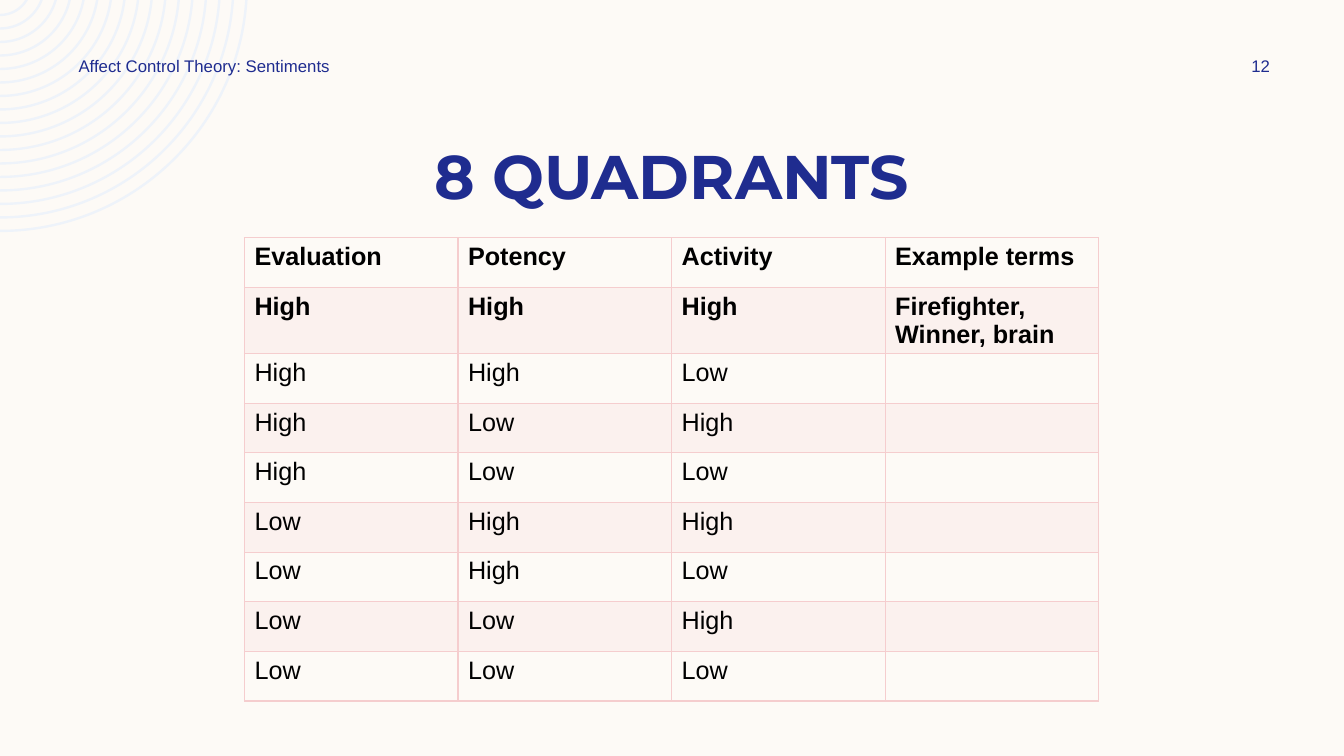
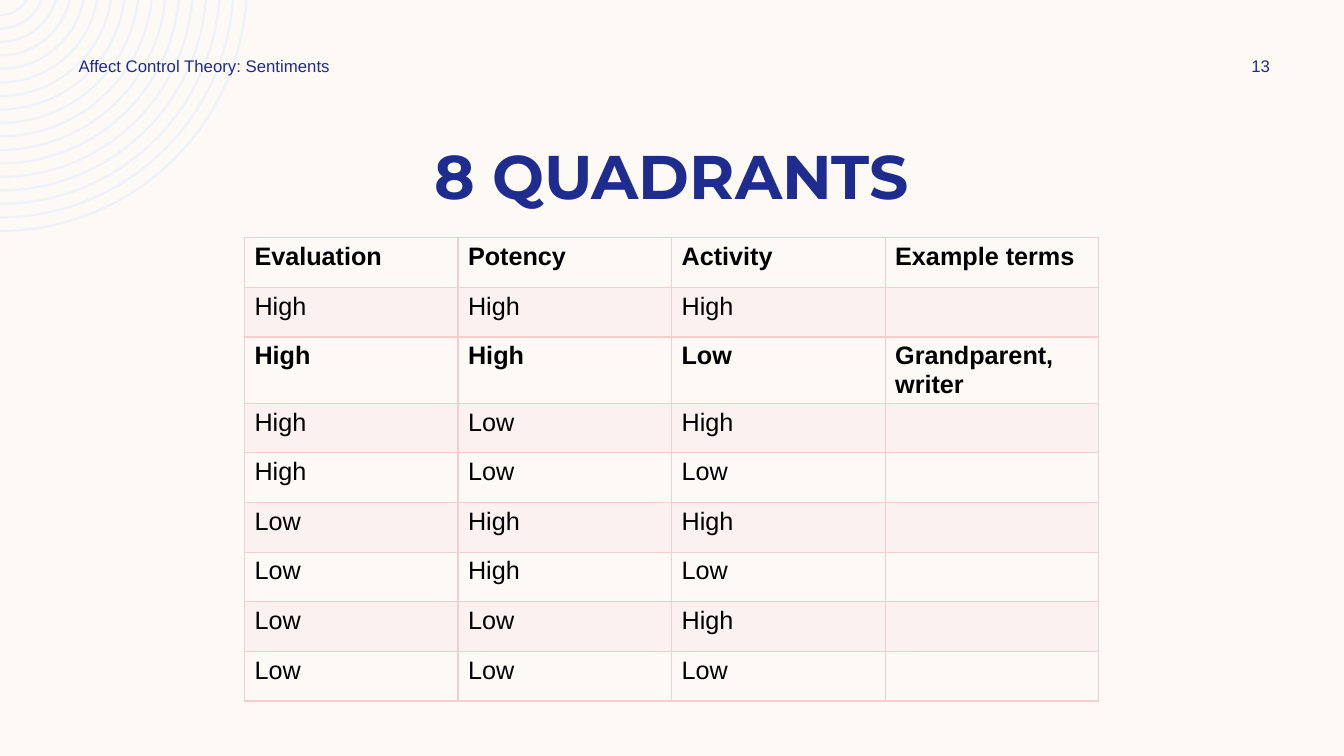
from itertools import product
from math import asin, cos, pi, sin, tan

from lxml.etree import SubElement
from pptx import Presentation
from pptx.dml.color import RGBColor
from pptx.enum.text import MSO_ANCHOR as Anchor, PP_ALIGN as Align
from pptx.oxml import parse_xml
from pptx.oxml.ns import nsdecls, qn
from pptx.util import Cm, Pt

# Shared look
CREAM, NAVY, PINK, RING_BLUE, BLACK = "FDFAF6", "1F2C8F", "F5CDCE", "EEF3FA", "000000"
TITLE_FONT = {"name": "Montserrat", "size": Pt(44), "bold": True}
HEADER_FONT = {"name": "Arial", "size": Pt(12), "bold": False}
CELL_FONT = {"name": "Arial", "size": Pt(18)}

# Boxes in centimetres: left, top, width, height
RINGS_BOX = (0, 0, 6.24, 5.85)
TITLE_BOX = (2.11, 3.36, 29.64, 2.13)
TABLE_BOX = (6.16, 5.99, 21.53, 11.79)
TOPIC_BOX = (1.73, 1.27, 8.89, 0.76)
NUMBER_BOX = (30.4, 1.27, 2.74, 0.76)
ROW_HEIGHT = 1.25

# Content
TOPIC = "Affect Control Theory: Sentiments"
TITLE = "8 QUADRANTS"
HEADINGS = ("Evaluation", "Potency", "Activity", "Example terms")
QUADRANTS = list(product(("High", "Low"), repeat=3))
SLIDES = (
    # page number, highlighted quadrant, its example terms
    (12, 0, "Firefighter,\nWinner, brain"),
    (13, 1, "Grandparent,\nwriter"),
)


def color(hex_string):
    return RGBColor.from_string(hex_string)


def paint(fill, hex_string, opacity=100):
    fill.solid()
    fill.fore_color.rgb = color(hex_string)
    if opacity < 100:
        color_element = fill._xPr.find(".//" + qn("a:srgbClr"))
        SubElement(color_element, qn("a:alpha"), val=str(opacity * 1000))


def format_text(frame, font_values, hex_string, align=Align.LEFT):
    for paragraph in frame.paragraphs:
        paragraph.alignment = align
        for run in paragraph.runs:
            run.font.color.rgb = color(hex_string)
            for name, value in font_values.items():
                setattr(run.font, name, value)


def add_text(slide, box, text, font_values, align=Align.LEFT, anchor=Anchor.MIDDLE):
    frame = slide.shapes.add_textbox(*map(Cm, box)).text_frame
    frame.word_wrap = True
    frame.vertical_anchor = anchor
    frame.text = text
    format_text(frame, font_values, NAVY, align)


def curve_outlines(shape):
    """Turn each run of three line segments along an arc into one Bézier curve."""
    path = shape._element.find(".//" + qn("a:path"))
    for start in path.findall(qn("a:moveTo")):
        lines = [item for item, _ in zip(start.itersiblings(), range(7))]
        for arc_lines in (lines[:3], lines[4:]):
            curve = path.makeelement(qn("a:cubicBezTo"))
            arc_lines[0].addprevious(curve)
            for line in arc_lines:
                curve.append(line[0])
                path.remove(line)


def add_rings(slide, box, count=17, step=0.34, thickness=0.06):
    """Concentric bands, centred just above the box's top left corner."""
    left, top, width, height = box
    rise = (width ** 2 - height ** 2) / (2 * height)
    outer_radius = height + rise

    def arc(radius):
        """Start, two control points and end of the arc inside the box."""
        start = asin(rise / radius)
        pull = radius * 4 / 3 * tan((pi / 2 - start) / 4)
        x, y = radius * cos(start), 0
        bottom = radius - rise
        points = [(x, y), (x - pull * sin(start), y + pull * cos(start)),
                  (pull, bottom), (0, bottom)]
        return [(Cm(left + x), Cm(top + y)) for x, y in points]

    builder = None
    for index in range(count):
        radius = outer_radius - index * step
        outline = arc(radius) + arc(radius - thickness)[::-1]
        if builder is None:
            builder = slide.shapes.build_freeform(*outline[0])
        else:
            builder.move_to(*outline[0])
        builder.add_line_segments(outline[1:], close=True)
    shape = builder.convert_to_shape()
    curve_outlines(shape)
    shape.shadow.inherit = False
    paint(shape.fill, RING_BLUE)
    shape.line.fill.background()


def add_borders(cell):
    properties = cell._tc.get_or_add_tcPr()
    for position, side in enumerate(("lnL", "lnR", "lnT", "lnB")):
        properties.insert(position, parse_xml(
            f'<a:{side} {nsdecls("a")} w="{Pt(1)}"><a:solidFill>'
            f'<a:srgbClr val="{PINK}"/></a:solidFill></a:{side}>'))


def add_quadrant_table(slide, box, highlighted, terms):
    rows = [HEADINGS] + [
        levels + (terms if index == highlighted else "",)
        for index, levels in enumerate(QUADRANTS)]
    left, top, width, height = box
    table_frame = slide.shapes.add_table(len(rows), len(HEADINGS), *map(Cm, box))
    table = table_frame.table
    table.horz_banding = False
    for column in table.columns:
        column.width = Cm(width / len(HEADINGS))
    for row_index, values in enumerate(rows):
        table.rows[row_index].height = Cm(ROW_HEIGHT)
        bold = row_index in (0, highlighted + 1)
        for column_index, value in enumerate(values):
            cell = table.cell(row_index, column_index)
            cell.text = value
            cell.margin_bottom = Cm(0.02)
            format_text(cell.text_frame, {**CELL_FONT, "bold": bold}, BLACK)
            if row_index % 2:
                paint(cell.fill, PINK, opacity=20)
            else:
                cell.fill.background()
            add_borders(cell)
    table_frame.height = Cm(height)


def add_header(slide, number):
    add_text(slide, TOPIC_BOX, TOPIC, HEADER_FONT)
    add_text(slide, NUMBER_BOX, str(number), HEADER_FONT, Align.CENTER)


def add_quadrant_slide(presentation, number, highlighted, terms):
    slide = presentation.slides.add_slide(presentation.slide_layouts[6])
    add_rings(slide, RINGS_BOX)
    add_text(slide, TITLE_BOX, TITLE, TITLE_FONT, Align.CENTER, Anchor.TOP)
    add_quadrant_table(slide, TABLE_BOX, highlighted, terms)
    add_header(slide, number)


def main():
    presentation = Presentation()
    presentation.slide_width, presentation.slide_height = Cm(33.87), Cm(19.05)
    paint(presentation.slide_master.background.fill, CREAM)
    for content in SLIDES:
        add_quadrant_slide(presentation, *content)
    presentation.save("out.pptx")


if __name__ == "__main__":
    main()
